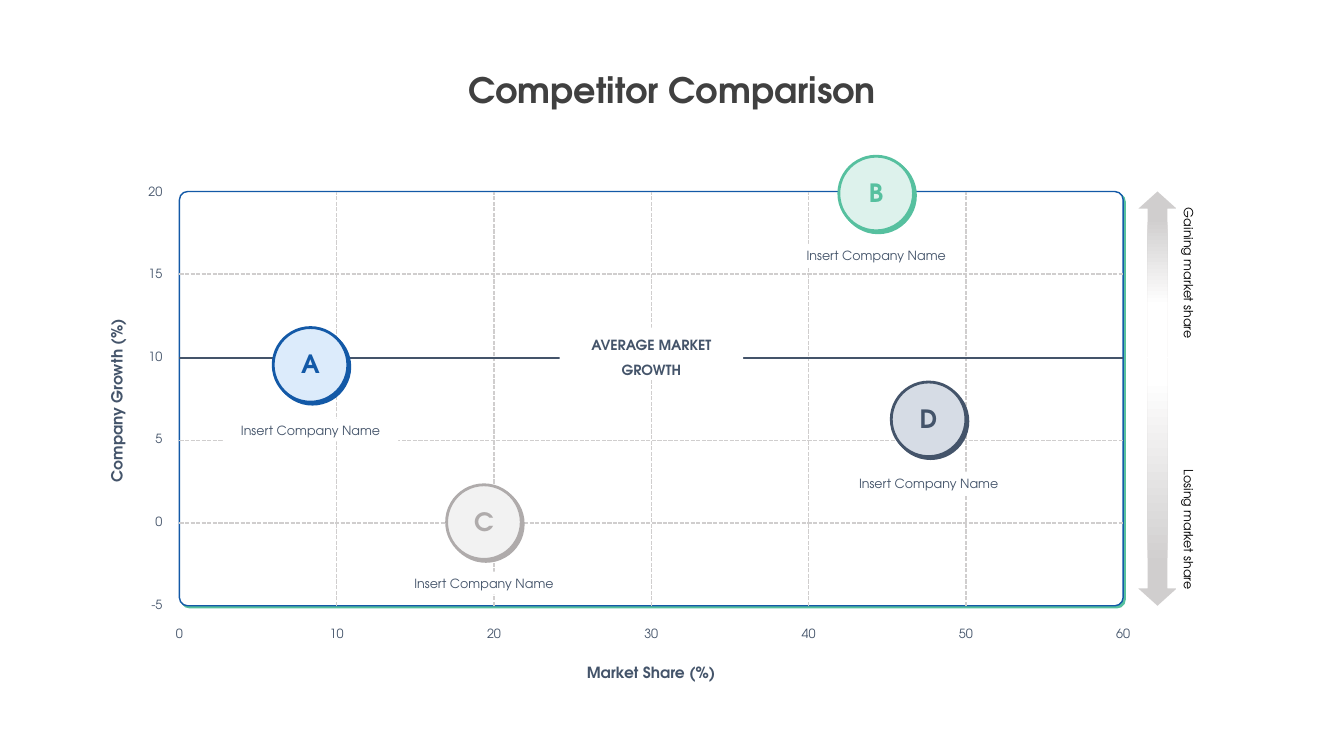
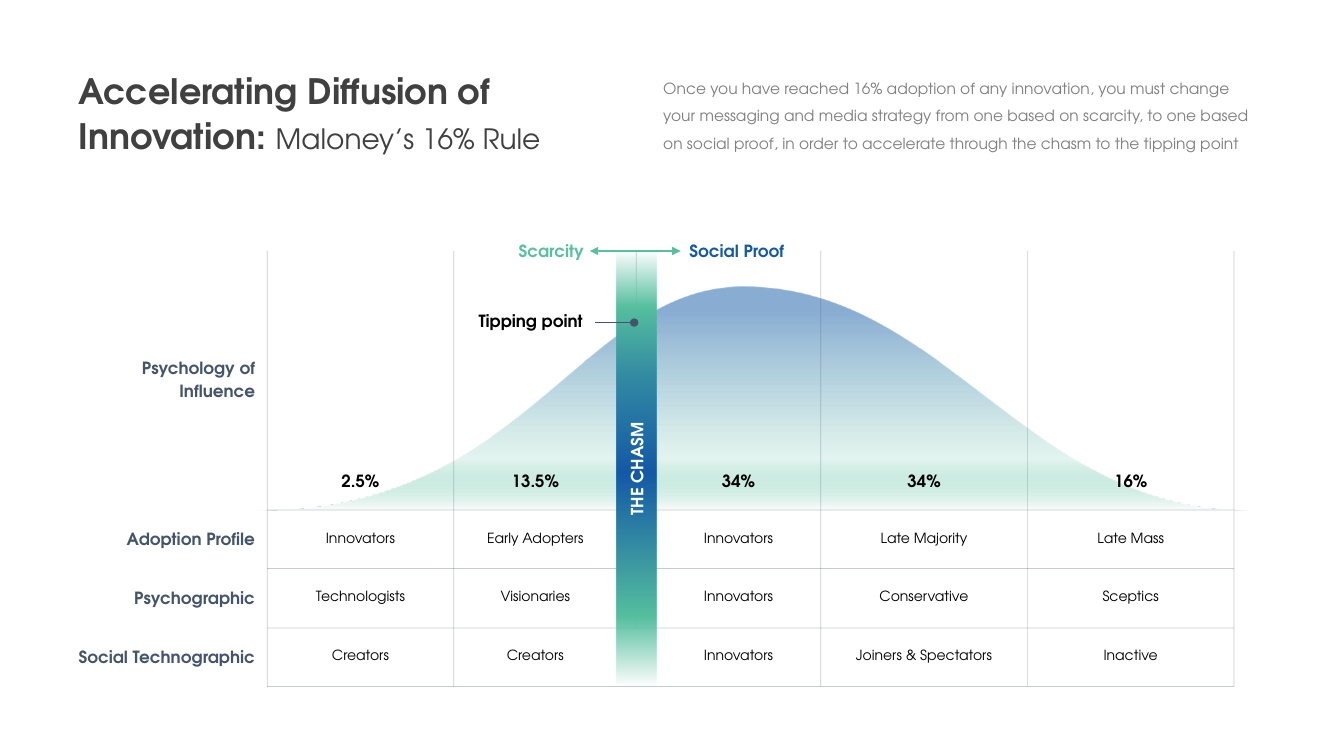
from lxml.etree import SubElement
from pptx import Presentation
from pptx.dml.color import RGBColor
from pptx.enum.dml import MSO_LINE
from pptx.enum.shapes import MSO_CONNECTOR, MSO_SHAPE
from pptx.enum.text import MSO_ANCHOR, MSO_AUTO_SIZE, PP_ALIGN
from pptx.oxml.ns import qn
from pptx.util import Pt

SCALE = 9144
FONT = "TeX Gyre Adventor"
INK, SLATE, BLACK, WHITE = "404040", "44546A", "000000", "FFFFFF"
GREEN, TEAL, BLUE, SILVER, GREY = "56C09F", "358DA3", "1359A7", "D0CECE", "808080"
LEFT, MID, RIGHT = PP_ALIGN.LEFT, PP_ALIGN.CENTER, PP_ALIGN.RIGHT
PLAIN = (10, 5, 10, 5)
TAG = (10, 0, 10, 5)
NOTE = (10, 3, 10, 5)
DOWN, UP = 270, 90


def px(*sizes):
    return [round(size * SCALE) for size in sizes]


def hue(code):
    return RGBColor.from_string(code)


def tint(parent, code, alpha=100):
    color = SubElement(parent, qn("a:srgbClr"), val=code)
    if alpha < 100:
        SubElement(color, qn("a:alpha"), val=str(alpha * 1000))


def bezier(a, b, c, d, steps=60):
    for step in range(1, steps + 1):
        t = step / steps
        u = 1 - t
        yield tuple(u**3 * p + 3 * u * u * t * q + 3 * u * t * t * r + t**3 * s
                    for p, q, r, s in zip(a, b, c, d))


class Deck:
    def __init__(self):
        self.show = Presentation()
        self.show.slide_width, self.show.slide_height = px(1333, 750)
        self.slide = None

    def page(self):
        self.slide = self.show.slides.add_slide(self.show.slide_layouts[5])

    def fill_frame(self, frame, runs, align=LEFT, space=None, pad=PLAIN, anchor=MSO_ANCHOR.TOP):
        frame.word_wrap = True
        frame.auto_size = MSO_AUTO_SIZE.NONE
        frame.vertical_anchor = anchor
        (frame.margin_left, frame.margin_top,
         frame.margin_right, frame.margin_bottom) = px(*pad)
        self.fill_para(frame.paragraphs[0], runs, align, space)

    def fill_para(self, para, runs, align, space=None):
        para.alignment = align
        if space:
            para.line_spacing = space
        for words, size, color, bold in runs:
            run = para.add_run()
            run.text = words
            run.font.name = FONT
            run.font.size = Pt(size)
            run.font.bold = bold
            run.font.color.rgb = hue(color)

    def title(self, box, runs, align, space=None):
        shape = self.slide.shapes.title
        shape.left, shape.top, shape.width, shape.height = px(*box)
        self.fill_frame(shape.text_frame, runs, align, space)

    def text(self, box, words, size, color=SLATE, bold=False, align=MID, turn=0, **style):
        shape = self.slide.shapes.add_textbox(*px(*box))
        shape.rotation = turn
        self.fill_frame(shape.text_frame, [(words, size, color, bold)], align, **style)
        return shape.text_frame

    def shape(self, kind, box, fill=None, edge=None, width=1, shade=None, bends=()):
        shape = self.slide.shapes.add_shape(kind, *px(*box))
        for spot, bend in enumerate(bends):
            shape.adjustments[spot] = bend
        return self.paint(shape, fill, edge, width, shade)

    def paint(self, shape, fill=None, edge=None, width=1, shade=None):
        shape.shadow.inherit = False
        if fill:
            shape.fill.solid()
            shape.fill.fore_color.rgb = hue(fill)
        if edge:
            shape.line.color.rgb = hue(edge)
            shape.line.width = Pt(width)
        else:
            shape.line.fill.background()
        if shade:
            effects = shape.element.spPr.find(qn("a:effectLst"))
            drop = SubElement(effects, qn("a:outerShdw"), blurRad="0", dist=str(Pt(2)),
                              dir="2700000", algn="tl", rotWithShape="0")
            tint(drop, shade)
        return shape

    def blend(self, shape, stops, angle=DOWN):
        shape.fill.gradient()
        shape.fill.gradient_angle = angle
        ramp = shape.element.spPr.find(qn("a:gradFill")).find(qn("a:gsLst"))
        for old in list(ramp):
            ramp.remove(old)
        for place, color, alpha in stops:
            tint(SubElement(ramp, qn("a:gs"), pos=str(place * 1000)), color, alpha)

    def line(self, start, end, color, width=1, dash=None, alpha=100, head=None, tail=None):
        line = self.slide.shapes.add_connector(MSO_CONNECTOR.STRAIGHT, *px(*start, *end))
        line.line.color.rgb = hue(color)
        line.line.width = Pt(width)
        if dash:
            line.line.dash_style = dash
        props = line.element.spPr
        stroke = props.find(qn("a:ln"))
        if alpha < 100:
            paint = stroke.find(qn("a:solidFill")).find(qn("a:srgbClr"))
            SubElement(paint, qn("a:alpha"), val=str(alpha * 1000))
        for name, form in (("a:headEnd", head), ("a:tailEnd", tail)):
            if form:
                SubElement(stroke, qn(name), type=form)
        SubElement(props, qn("a:effectLst"))

    def label(self, box, words, size, space, bold=False):
        shape = self.shape(MSO_SHAPE.RECTANGLE, box, WHITE)
        self.fill_frame(shape.text_frame, [(words, size, SLATE, bold)], MID, space, TAG)

    def bubble(self, x, y, letter, fill, color, drop):
        shape = self.shape(MSO_SHAPE.OVAL, (x, y, 74, 74), fill, color, 2, color)
        self.fill_frame(shape.text_frame, [(letter, 18, color, True)], MID, Pt(13),
                        (10, 10, 10, 0), MSO_ANCHOR.MIDDLE)
        self.label((x - 50, y + drop, 174, 23), "Insert Company Name", 9, Pt(14))

    def arrow(self, kind, box, stop, angle):
        shape = self.shape(kind, box, bends=(0.52, 0.45))
        self.blend(shape, [(16, SILVER, 100), (stop, WHITE, 100)], angle)

    def curve(self, start, parts, stops):
        points = []
        last = start
        for part in parts:
            points += bezier(last, *part)
            last = part[-1]
        maker = self.slide.shapes.build_freeform(*px(*start), scale=1.0)
        maker.add_line_segments([px(*point) for point in points], close=True)
        self.blend(self.paint(maker.convert_to_shape()), stops)

    def table(self, x, y, wide, high, rows):
        frame = self.slide.shapes.add_table(len(high), len(wide), *px(x, y, sum(wide), sum(high)))
        table = frame.table
        table.first_row = table.horz_banding = False
        style = table._tbl.tblPr.find(qn("a:tableStyleId"))
        style.text = "{2D5ABB26-0587-4C30-8999-92F81FD0307C}"
        for column, size in zip(table.columns, px(*wide)):
            column.width = size
        for line, size, words in zip(table.rows, px(*high), rows):
            line.height = size
            for spot, (cell, word) in enumerate(zip(line.cells, words)):
                cell.fill.background()
                cell.vertical_anchor = MSO_ANCHOR.MIDDLE
                first = spot == 0
                (cell.margin_left, cell.margin_right,
                 cell.margin_top, cell.margin_bottom) = px(0, 12 if first else 0, 3 if first else 0, 0)
                run = (word, 12, SLATE, True) if first else (word, 10, BLACK, False)
                self.fill_para(cell.text_frame.paragraphs[0], [run] if word else [],
                               RIGHT if first else MID)


def market(deck):
    deck.page()
    left, top, right, base = 178, 190, 1114, 601
    deck.title((300, 63, 733, 52), [("Competitor Comparison", 25, INK, True)], MID)
    deck.shape(MSO_SHAPE.ROUNDED_RECTANGLE, (left, top, right - left, base - top),
               WHITE, BLUE, 1, GREEN, (0.02,))
    deck.arrow(MSO_SHAPE.UP_ARROW, (1129, 190, 38, 164), 69, DOWN)
    deck.arrow(MSO_SHAPE.DOWN_ARROW, (1129, 355, 38, 246), 92, UP)
    for y, words, align in ((304, "Gaining", LEFT), (462, "Losing", RIGHT)):
        deck.text((1059, y, 240, 25), f"{words} market share", 9, BLACK, align=align, turn=90)
    for step in range(6):
        deck.text((120, 177 + 82 * step, 51, 25), str(20 - 5 * step), 9, align=RIGHT)
    for step in range(7):
        deck.text((left - 30 + 156 * step, 616, 60, 25), str(10 * step), 9)
    deck.text((16, 383, 200, 29), "Company Growth (%)", 11, bold=True, turn=270)
    deck.text((546, 653, 200, 29), "Market Share (%)", 11, bold=True)
    for x in range(left + 156, right, 156):
        deck.line((x, base), (x, top), SILVER, dash=MSO_LINE.SQUARE_DOT)
    for y in (272, 437, 519):
        deck.line((left, y), (right, y), SILVER, dash=MSO_LINE.SQUARE_DOT)
    deck.line((left, 355), (right, 355), SLATE)
    deck.label((555, 325, 182, 52), "AVERAGE MARKET GROWTH", 10, 1.5, True)
    for bubble in ((832, 155, "B", "DDF2EC", GREEN, 87),
                   (884, 379, "D", "D6DCE5", SLATE, 89),
                   (443, 481, "C", "F2F2F2", "AFABAB", 86),
                   (271, 325, "A", "DCEBFB", BLUE, 90)):
        deck.bubble(*bubble)


def chasm(deck):
    deck.page()
    top, floor, base = 249, 506, 681
    deck.curve((256, floor),
               [((522, floor), (577, 284), (737, 284)),
                ((937, 284), (1017, floor), (1240, floor))],
               [(10, BLUE, 50), (51, TEAL, 30), (77, GREEN, 16), (100, WHITE, 100)])
    deck.title((68, 61, 557, 96),
               [("Accelerating Diffusion of Innovation: ", 25, INK, True),
                ("Maloney’s 16% Rule", 20, INK, False)], LEFT, Pt(32))
    deck.text((648, 64, 617, 90),
              "Once you have reached 16% adoption of any innovation, you must change your "
              "messaging and media strategy from one based on scarcity, to one based on social "
              "proof, in order to accelerate through the chasm to the tipping point",
              11, GREY, align=LEFT, space=1.5)
    edges = (68, 265, 450, 612, 651, 814, 1019, 1224)
    levels = (floor, 564, 623, base)
    wide = [b - a for a, b in zip(edges, edges[1:])]
    high = [b - a for a, b in zip(levels, levels[1:])]
    deck.table(edges[0], floor, wide, high, [
        ("Adoption Profile", "Innovators", "Early Adopters", "", "Innovators",
         "Late Majority", "Late Mass"),
        ("Psychographic", "Technologists", "Visionaries", "", "Innovators",
         "Conservative", "Sceptics"),
        ("Social Technographic", "Creators", "Creators", "", "Innovators",
         "Joiners & Spectators", "Inactive")])
    shares = ("", "2.5%", "13.5%", "", "34%", "34%", "16%")
    for x, width, share in zip(edges, wide, shares):
        if share:
            deck.text((x, 462, width, 30), share, 12, BLACK, True)
    frame = deck.text((83, 348, 180, 53), "Psychology of", 12, bold=True,
                      align=RIGHT, space=Pt(16))
    deck.fill_para(frame.add_paragraph(), [("Influence", 12, SLATE, True)], RIGHT, Pt(16))
    for y in levels:
        deck.line((265, y), (1224, y), SLATE, 0.5, alpha=30)
    for x, end in ((265, base), (450, base), (631, 623), (814, base), (1019, base), (1224, base)):
        deck.line((x, top), (x, end), SLATE, 0.5, alpha=30)
    band = deck.shape(MSO_SHAPE.RECTANGLE, (612, top, 39, base - top))
    deck.blend(band, [(0, GREEN, 0), (13, GREEN, 100), (28, TEAL, 100), (51, BLUE, 100),
                      (68, TEAL, 100), (84, GREEN, 100), (100, GREEN, 0)])
    deck.fill_frame(band.text_frame, [("THE CHASM", 12, WHITE, True)], MID,
                    anchor=MSO_ANCHOR.MIDDLE)
    band.text_frame._txBody.bodyPr.set("vert", "vert270")
    deck.line((590, 320), (629, 320), SLATE, tail="oval")
    deck.line((585, top), (675, top), GREEN, head="triangle", tail="triangle")
    for box, words, color, align in (((441, 304, 147, 28), "Tipping point", BLACK, RIGHT),
                                     ((441, 235, 148, 28), "Scarcity", GREEN, RIGHT),
                                     ((674, 235, 130, 28), "Social Proof", BLUE, LEFT)):
        deck.text(box, words, 12, color, True, align, space=Pt(15), pad=NOTE)


def main():
    deck = Deck()
    market(deck)
    chasm(deck)
    deck.show.save("out.pptx")


if __name__ == "__main__":
    main()
